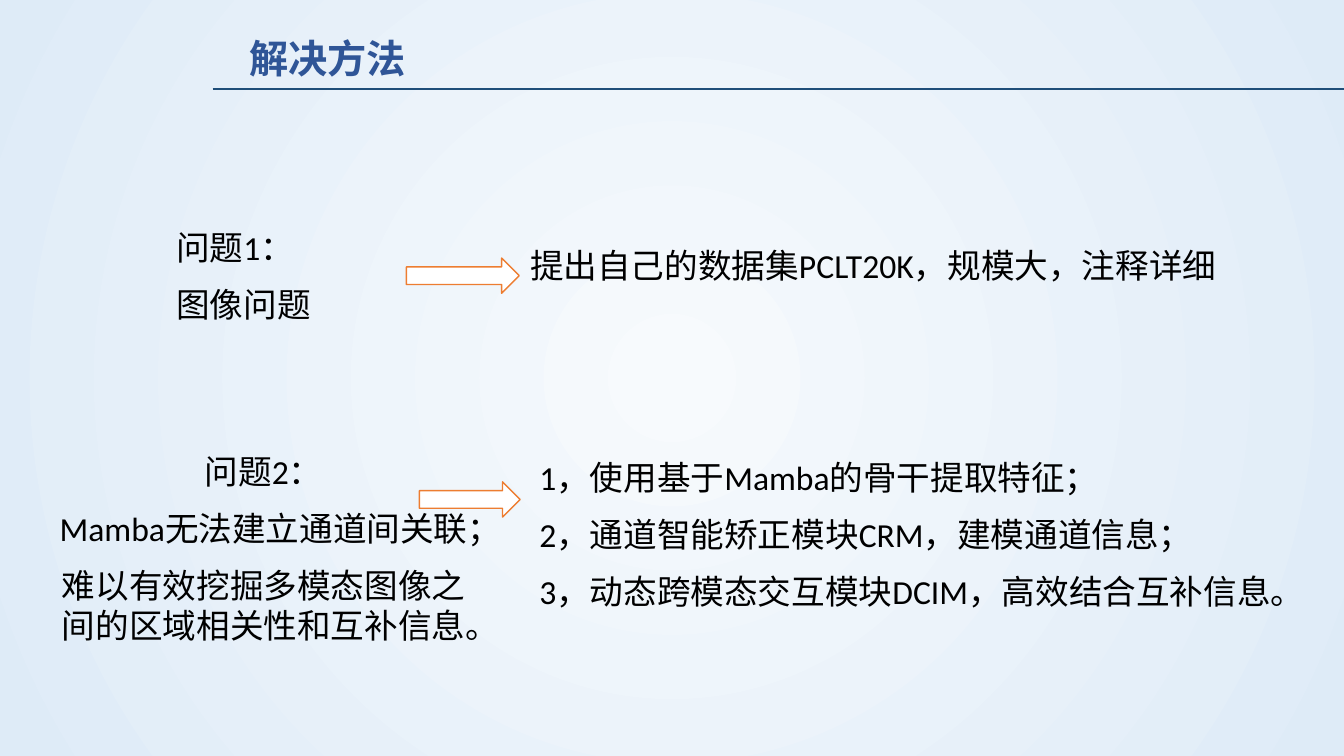
import pptx
import pptx.util
import pptx.dml.color
import pptx.enum.shapes
import pptx.enum.text
import pptx.oxml
import pptx.oxml.ns
from lxml import etree

Inches = pptx.util.Inches
Pt = pptx.util.Pt
qn = pptx.oxml.ns.qn
Align = pptx.enum.text.PP_ALIGN
CJK_FONT = "Noto Sans CJK SC"


def color(value):
    return pptx.dml.color.RGBColor.from_string(value)


def paint_background(slide):
    fill = slide.background.fill
    fill.gradient()
    for stop, value in zip(fill.gradient_stops, ("F7FAFD", "DEEBF7")):
        stop.color.rgb = color(value)
    gradient = slide.element.find(".//" + qn("a:gradFill"))
    gradient.remove(gradient.find(qn("a:lin")))
    radial = etree.SubElement(gradient, qn("a:path"), {"path": "circle"})
    center = {side: "50000" for side in ("l", "t", "r", "b")}
    etree.SubElement(radial, qn("a:fillToRect"), center)


def write_lines(shape, lines, alignment=Align.LEFT, size=24, name="Calibri",
                value="000000", bold=False):
    frame = shape.text_frame
    frame.word_wrap = True
    frame.vertical_anchor = pptx.enum.text.MSO_ANCHOR.TOP
    frame.text = "\n".join(lines)
    for index, paragraph in enumerate(frame.paragraphs):
        paragraph.alignment = alignment
        paragraph.line_spacing = 1.0
        paragraph.space_before = Pt(12 if index else 0)
        font = paragraph.font
        font.size = Pt(size)
        font.name = name
        font.bold = bold
        font.color.rgb = color(value)
        properties = paragraph._p.pPr.find(qn("a:defRPr"))
        etree.SubElement(properties, qn("a:ea"), {"typeface": CJK_FONT})


def add_text(slide, box, lines, alignment=Align.LEFT):
    shape = slide.shapes.add_textbox(*map(Inches, box))
    write_lines(shape, lines, alignment)


def add_heading(slide, box, text):
    left, top, width, height = box
    rule_left, rule_top = Inches(left - 0.26), Inches(top + 0.59)
    rule = slide.shapes.add_connector(
        pptx.enum.shapes.MSO_CONNECTOR.STRAIGHT,
        rule_left, rule_top, Inches(13.33), rule_top)
    rule.line.color.rgb = color("1F4E79")
    rule.line.width = Pt(1.25)
    etree.SubElement(rule._element.spPr, qn("a:effectLst"))
    title = slide.shapes.title
    title.left, title.top, title.width, title.height = map(Inches, box)
    write_lines(title, [text], size=28, name=CJK_FONT, value="2F5597", bold=True)


def add_arrow(slide, box):
    left, top, length, thickness = box
    offset = (length - thickness) / 2
    arrow = slide.shapes.add_shape(
        pptx.enum.shapes.MSO_SHAPE.DOWN_ARROW,
        Inches(left + offset), Inches(top - offset),
        Inches(thickness), Inches(length))
    arrow.rotation = 270
    arrow.shadow.inherit = False
    arrow.fill.solid()
    arrow.fill.fore_color.rgb = color("FFFFFF")
    arrow.line.color.rgb = color("ED7D31")
    arrow.line.width = Pt(1)


def add_solution(slide, problem_box, problem, arrow_box, answer_box, answer,
                 alignment=Align.LEFT):
    add_text(slide, problem_box, problem, alignment)
    add_arrow(slide, arrow_box)
    add_text(slide, answer_box, answer)


def main():
    presentation = pptx.Presentation()
    presentation.slide_width = Inches(13.33)
    presentation.slide_height = Inches(7.5)
    slide = presentation.slides.add_slide(presentation.slide_layouts[5])
    paint_background(slide)
    add_heading(slide, (2.37, 0.29, 3.04, 0.57), "解决方法")
    add_solution(
        slide,
        (1.65, 2.2, 1.96, 1.08), ["问题1：", "图像问题"],
        (4.03, 2.56, 1.12, 0.35),
        (5.16, 2.38, 7.24, 0.5), ["提出自己的数据集PCLT20K，规模大，注释详细"])
    add_solution(
        slide,
        (0.45, 4.42, 4.33, 2.05),
        ["问题2：", "Mamba无法建立通道间关联；",
         "难以有效挖掘多模态图像之间的区域相关性和互补信息。"],
        (4.16, 4.78, 1, 0.35),
        (5.25, 4.48, 7.85, 1.65),
        ["1，使用基于Mamba的骨干提取特征；",
         "2，通道智能矫正模块CRM，建模通道信息；",
         "3，动态跨模态交互模块DCIM，高效结合互补信息。"],
        Align.CENTER)
    presentation.save("out.pptx")


if __name__ == "__main__":
    main()
